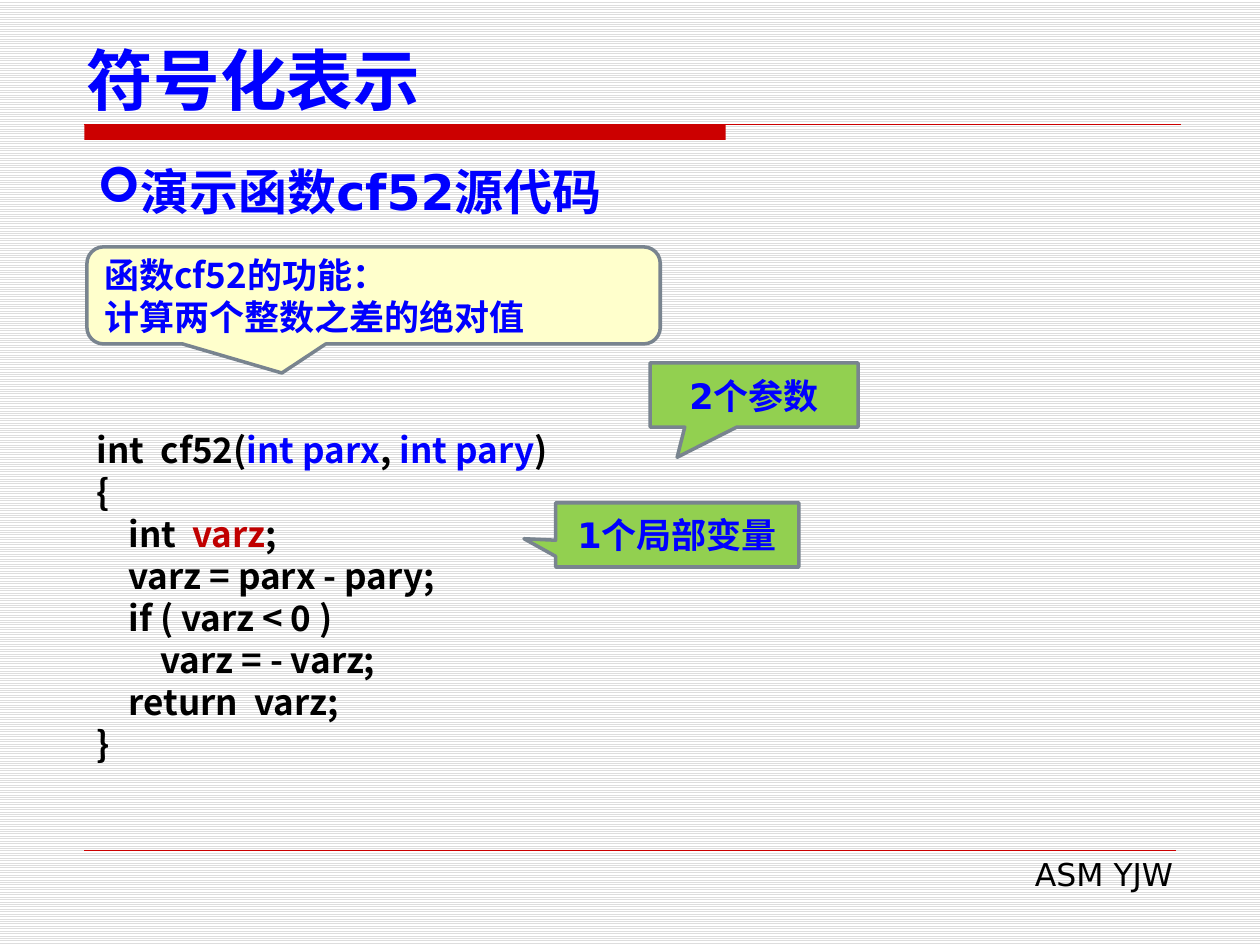
from dataclasses import dataclass

from lxml import etree
from pptx import Presentation
from pptx import util as u
from pptx.dml.color import RGBColor
from pptx.enum import dml, shapes, text
from pptx.oxml.ns import qn


@dataclass(frozen=True)
class Theme:
    blue: str = "0000FF"
    black: str = "000000"
    variable: str = "C00000"
    rule: str = "CC0000"
    outline: str = "79848F"
    cream: str = "FFFFCC"
    green: str = "92D050"
    stripe: str = "DDDDDD"
    paper: str = "FFFFFF"
    sans: str = "DejaVu Sans"
    cjk: str = "Noto Sans CJK SC"
    title: int = 38
    heading: int = 28
    body: int = 20
    footer: int = 18
    leading: int = 24


T = Theme()
LEFT, CENTER, RIGHT = text.PP_ALIGN.LEFT, text.PP_ALIGN.CENTER, text.PP_ALIGN.RIGHT
TOP, MIDDLE, BOTTOM = text.MSO_ANCHOR.TOP, text.MSO_ANCHOR.MIDDLE, text.MSO_ANCHOR.BOTTOM

TITLE = "符号化表示"
HEADING = "演示函数cf52源代码"
FOOTER = "ASM YJW"
SOURCE_CODE = [
    ["int  cf52(", ("int parx", T.blue), ", ", ("int pary", T.blue), ")"],
    "{",
    ["    int  ", ("varz", T.variable), ";"],
    "    varz = parx - pary;",
    "    if ( varz < 0 )",
    "        varz = - varz;",
    "    return  varz;",
    "}",
]
PURPOSE = ["函数cf52的功能：", "计算两个整数之差的绝对值"]
ROUNDED = shapes.MSO_SHAPE.ROUNDED_RECTANGULAR_CALLOUT
SQUARE = shapes.MSO_SHAPE.RECTANGULAR_CALLOUT
CALLOUTS = [
    (ROUNDED, (0.69, 1.96, 4.55, 0.77), (-0.16, 0.8, 0.17), T.cream, PURPOSE,
     dict(font=T.cjk, leading=T.leading)),
    (SQUARE, (5.16, 2.88, 1.65, 0.51), (-0.37, 0.97), T.green, ["2个参数"],
     dict(align=CENTER)),
    (SQUARE, (4.41, 3.99, 1.93, 0.51), (-0.63, 0.06), T.green, ["1个局部变量"],
     dict(align=CENTER)),
]


def rgb(color):
    return RGBColor.from_string(color)


def inches(values):
    return [u.Inches(value) for value in values]


def add_bullet(paragraph, char):
    properties = paragraph._p.get_or_add_pPr()
    properties.set("marL", "0")
    properties.set("indent", "0")
    etree.SubElement(properties, qn("a:buFont")).set("typeface", "Wingdings")
    etree.SubElement(properties, qn("a:buChar")).set("char", char)


def write(holder, lines, *, size=T.body, font=T.sans, color=T.blue, bold=True,
          align=LEFT, anchor=TOP, leading=None, bullet=None, top_inset=0.05):
    frame = holder.text_frame
    frame.word_wrap = True
    frame.auto_size = text.MSO_AUTO_SIZE.NONE
    frame.vertical_anchor = anchor
    frame.margin_top = u.Inches(top_inset)
    for index, line in enumerate(lines):
        paragraph = frame.add_paragraph() if index else frame.paragraphs[0]
        paragraph.alignment = align
        paragraph.space_before = u.Pt(0)
        if leading:
            paragraph.line_spacing = u.Pt(leading)
        if bullet:
            add_bullet(paragraph, bullet)
        for part in [line] if isinstance(line, str) else line:
            words, ink = (part, color) if isinstance(part, str) else part
            run = paragraph.add_run()
            run.text = words
            run.font.size = u.Pt(size)
            run.font.name = font
            run.font.bold = bold
            run.font.color.rgb = rgb(ink)
            east_asian = etree.SubElement(run._r.get_or_add_rPr(), qn("a:ea"))
            east_asian.set("typeface", font)


def place(holder, box):
    holder.left, holder.top, holder.width, holder.height = inches(box)
    return holder


def add_rule(slide, left, right, y, weight):
    rule = slide.shapes.add_connector(
        shapes.MSO_CONNECTOR.STRAIGHT, *inches((left, y, right, y)))
    rule.line.color.rgb = rgb(T.rule)
    rule.line.width = u.Pt(weight)
    etree.SubElement(rule._element.spPr, qn("a:effectLst"))


def add_filled(slide, kind, box, fill):
    shape = slide.shapes.add_shape(kind, *inches(box))
    shape.shadow.inherit = False
    shape.fill.solid()
    shape.fill.fore_color.rgb = rgb(fill)
    return shape


def add_callout(slide, kind, box, pointer, fill, lines, style):
    callout = add_filled(slide, kind, box, fill)
    for index, value in enumerate(pointer):
        callout.adjustments[index] = value
    callout.line.color.rgb = rgb(T.outline)
    callout.line.width = u.Pt(2)
    write(callout, lines, anchor=MIDDLE, **style)


def main():
    deck = Presentation()
    deck.slide_width, deck.slide_height = inches((10, 7.5))
    slide = deck.slides.add_slide(deck.slide_layouts[1])

    backdrop = slide.background.fill
    backdrop.patterned()
    backdrop.pattern = dml.MSO_PATTERN.LIGHT_HORIZONTAL
    backdrop.fore_color.rgb = rgb(T.stripe)
    backdrop.back_color.rgb = rgb(T.paper)

    title_bar = add_filled(slide, shapes.MSO_SHAPE.RECTANGLE, (0.67, 0.99, 5.09, 0.12), T.rule)
    title_bar.line.fill.background()
    add_rule(slide, 0.67, 9.37, 0.99, 0.75)
    add_rule(slide, 0.67, 9.33, 6.75, 0.25)

    footer = slide.shapes.add_textbox(*inches((3.82, 6.74, 5.59, 0.4)))
    write(footer, [FOOTER], size=T.footer, color=T.black, bold=False, align=RIGHT)

    title = place(slide.shapes.title, (0.59, 0.28, 9.06, 0.71))
    write(title, [TITLE], size=T.title, anchor=BOTTOM)
    heading = place(slide.placeholders[1], (0.67, 1.23, 8.66, 0.57))
    write(heading, [HEADING], size=T.heading, bullet="➢")

    source_code = slide.shapes.add_textbox(*inches((0.67, 3.32, 4.73, 2.79)))
    write(source_code, SOURCE_CODE, font=T.cjk, color=T.black,
          leading=T.leading, top_inset=0.08)

    for callout in CALLOUTS:
        add_callout(slide, *callout)

    deck.save("out.pptx")


if __name__ == "__main__":
    main()
